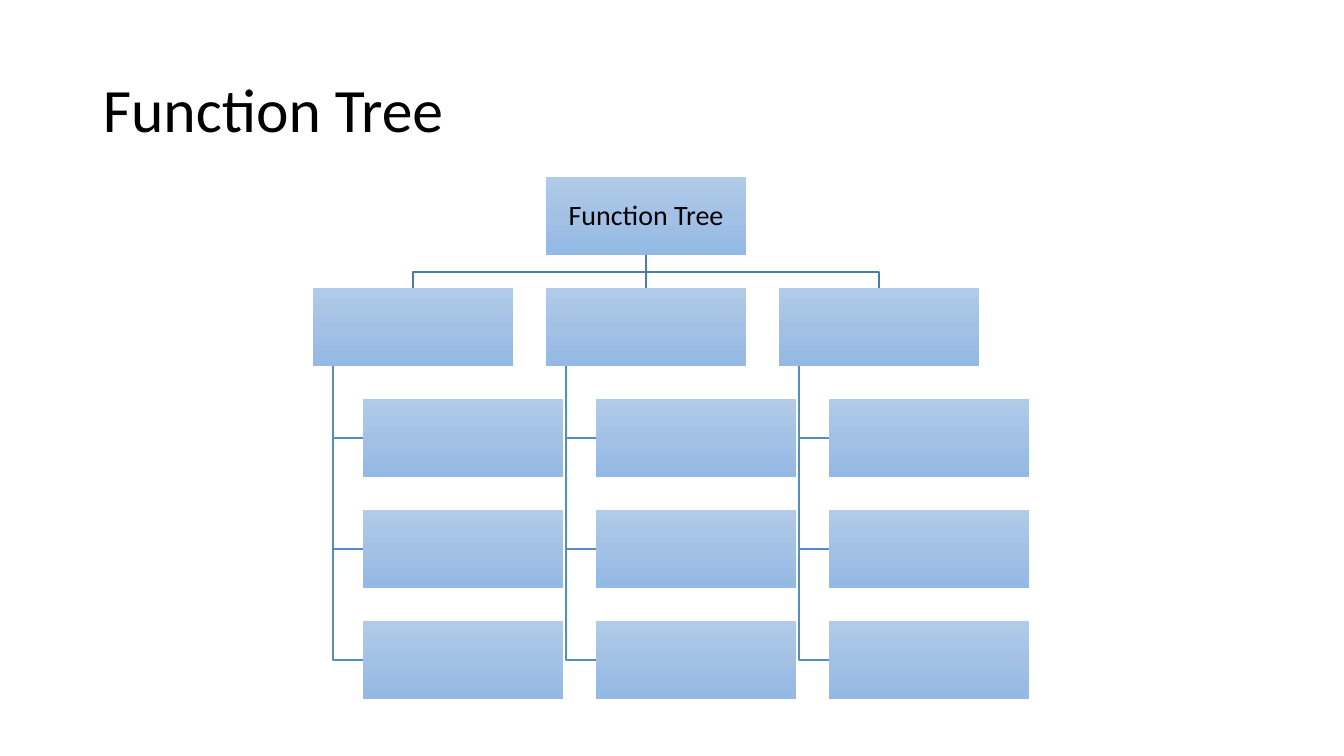
from copy import deepcopy
from pptx import Presentation
from pptx import util as u
from pptx.dml.color import RGBColor
from pptx.enum import shapes, text
from pptx.oxml import ns, xmlchemy

PX = 9071
WIDE, HIGH = 200, 78
COL, ROW = 233, 111
STEM, DENT = 20, 50
SHADES = (0, "B1CBE9"), (0.5, "A3C1E5"), (1, "93B9E4")
TOP_LINE, SUB_LINE = "497CAB", "538DC1"
FONT = {"name": "Calibri", "bold": False}


def px(*nums):
    return [u.Emu(round(n * PX)) for n in nums]


def tint(code):
    return RGBColor.from_string(code)


def write(shape, words, size, align, inset):
    frame = shape.text_frame
    sides = {f"margin_{side}": inset for side in ("left", "right", "top", "bottom")}
    form = {"word_wrap": True, "vertical_anchor": text.MSO_ANCHOR.MIDDLE, **sides}
    for key, value in form.items():
        setattr(frame, key, value)
    para = frame.paragraphs[0]
    para.alignment, para.line_spacing = align, 0.9
    run = para.add_run()
    run.text = words
    for key, value in {**FONT, "size": u.Pt(size)}.items():
        setattr(run.font, key, value)
    run.font.color.rgb = tint("000000")


def shade(shape):
    fill = shape.fill
    fill.gradient()
    fill.gradient_angle = 270
    stops = shape._element.spPr.find(ns.qn("a:gradFill")).find(ns.qn("a:gsLst"))
    stops.append(deepcopy(stops[0]))
    for stop, (place, code) in zip(fill.gradient_stops, SHADES):
        stop.position = place
        stop.color.rgb = tint(code)


def node(slide, x, y):
    shape = slide.shapes.add_shape(shapes.MSO_SHAPE.RECTANGLE, *px(x, y, WIDE, HIGH))
    shape.shadow.inherit = False
    shape.line.fill.background()
    shade(shape)
    return shape


def stroke(line, code):
    line.color.rgb = tint(code)
    line.width = u.Pt(1)


def bend(slide, start, points, code):
    pen = slide.shapes.build_freeform(*start, scale=PX)
    pen.add_line_segments(points, close=False)
    shape = pen.convert_to_shape()
    shape.shadow.inherit = False
    shape.fill.background()
    stroke(shape.line, code)


def join(slide, upper, lower):
    kind = shapes.MSO_CONNECTOR.STRAIGHT
    link = slide.shapes.add_connector(kind, 0, 0, 0, 0)
    link.begin_connect(upper, 2)
    link.end_connect(lower, 0)
    stroke(link.line, TOP_LINE)
    link._element.spPr.append(xmlchemy.OxmlElement("a:effectLst"))


def branch(slide, x, y, count):
    head = node(slide, x, y)
    stem, left = x + STEM, x + DENT
    for row in range(1, count + 1):
        top = y + row * ROW
        mid = top + HIGH // 2
        bend(slide, (stem, y + HIGH), [(stem, mid), (left, mid)], SUB_LINE)
        node(slide, left, top)
    return head


def tree(slide, x, y, words):
    root = node(slide, x + COL, y)
    write(root, words, 20, text.PP_ALIGN.CENTER, u.Inches(0.01))
    heads = [branch(slide, x + col * COL, y + ROW, 3) for col in range(3)]
    join(slide, root, heads[1])
    mid, low = x + COL + WIDE // 2, y + HIGH
    bar = (low + y + ROW) / 2
    for end in (mid - COL, mid + COL):
        bend(slide, (mid, low), [(mid, bar), (end, bar), (end, y + ROW)], TOP_LINE)


def title(slide, x, y, wide, high, words):
    box = slide.shapes.add_textbox(*px(x, y, wide, high))
    write(box, words, 44, text.PP_ALIGN.LEFT, u.Inches(0.1))


def main():
    deck = Presentation()
    deck.slide_width, deck.slide_height = px(1344, 756)
    slide = deck.slides.add_slide(deck.slide_layouts[6])
    tree(slide, 313, 177, "Function Tree")
    title(slide, 93, 40, 1159, 146, "Function Tree")
    deck.save("out.pptx")


if __name__ == "__main__":
    main()
